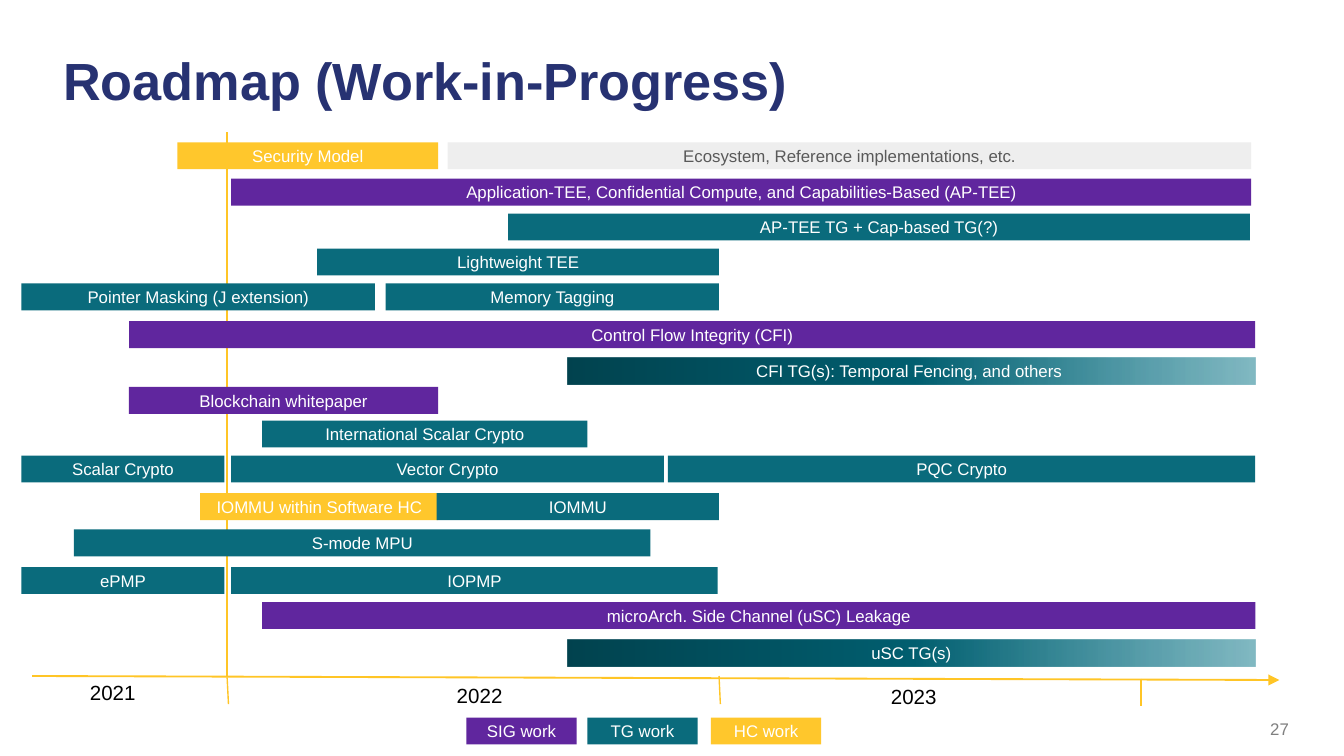
from lxml import etree
from pptx import Presentation
from pptx.dml.color import RGBColor
from pptx.enum.shapes import MSO_CONNECTOR, MSO_SHAPE
from pptx.enum.text import MSO_ANCHOR, MSO_AUTO_SIZE, PP_ALIGN
from pptx.oxml import parse_xml
from pptx.oxml.ns import nsdecls, qn
from pptx.util import Inches, Pt

NAVY = RGBColor(0x27, 0x32, 0x72)
BLACK = RGBColor(0, 0, 0)
WHITE = RGBColor(0xFF, 0xFF, 0xFF)
DARK_GREY = RGBColor(0x59, 0x59, 0x59)
MID_GREY = RGBColor(0x7F, 0x7F, 0x7F)
LIGHT_GREY = RGBColor(0xEE, 0xEE, 0xEE)
AXIS = RGBColor(0xFF, 0xC5, 0x26)
HC = RGBColor(0xFF, 0xC7, 0x2C)
SIG = RGBColor(0x60, 0x26, 0x9E)
TG = RGBColor(0x0A, 0x6B, 0x7C)
FADE = ((0, "01434F", 100), (50, "015F70", 100), (99, "017185", 50))

FONT = "Arial"
BAR_HEIGHT = 0.2
START, Y2022, Y2023, END = 0.16, 1.72, 5.35, 9.34

ROWS = [
    (1.06, [("Security Model", 1.32, 3.26, HC),
            ("Ecosystem, Reference implementations, etc.", 3.33, 9.31, LIGHT_GREY)]),
    (1.33, [("Application-TEE, Confidential Compute, and Capabilities-Based (AP-TEE)",
             Y2022, 9.31, SIG)]),
    (1.59, [("AP-TEE TG + Cap-based TG(?)", 3.78, 9.3, TG)]),
    (1.85, [("Lightweight TEE", 2.36, Y2023, TG)]),
    (2.11, [("Pointer Masking (J extension)", START, 2.79, TG),
            ("Memory Tagging", 2.87, Y2023, TG)]),
    (2.39, [("Control Flow Integrity (CFI)", 0.96, END, SIG)]),
    (2.66, [("CFI TG(s): Temporal Fencing, and others ", 4.22, END, FADE)]),
    (2.88, [("Blockchain whitepaper", 0.96, 3.26, SIG)]),
    (3.13, [("International Scalar Crypto", 1.95, 4.37, TG)]),
    (3.39, [("Scalar Crypto", START, 1.67, TG),
            ("Vector Crypto", Y2022, 4.94, TG),
            ("PQC Crypto", 4.97, END, TG)]),
    (3.67, [("IOMMU within Software HC", 1.49, 3.26, HC),
            ("IOMMU", 3.25, Y2023, TG)]),
    (3.94, [("S-mode MPU", 0.55, 4.84, TG)]),
    (4.22, [("ePMP", START, 1.67, TG), ("IOPMP", Y2022, 5.34, TG)]),
    (4.48, [("microArch. Side Channel (uSC) Leakage", 1.95, END, SIG)]),
    (4.76, [("uSC TG(s)", 4.22, END, FADE)]),
    (5.34, [("SIG work", 3.47, 4.29, SIG),
            ("TG work", 4.37, 5.19, TG),
            ("HC work", 5.29, 6.11, HC)]),
]

TICKS = [(1.69, 5.04, 1.7, 5.24), (5.35, 5.03, 5.36, 5.24), (8.49, 5.05, 8.49, 5.25)]
YEARS = [("2021", 0.57, 5.01), ("2022", 3.3, 5.03), ("2023", 6.53, 5.04)]


def set_font(p, size, color, bold=False):
    p.font.name = FONT
    p.font.size = Pt(size)
    p.font.bold = bold
    p.font.color.rgb = color


def set_insets(tf):
    tf.margin_left = tf.margin_right = Inches(0.07)
    tf.margin_top = tf.margin_bottom = Inches(0.04)


def set_title(s, text):
    sp = s.shapes.title
    sp.left, sp.top, sp.width, sp.height = map(Inches, (0.4, 0.24, 8.77, 0.75))
    tf = sp.text_frame
    tf.text = text
    tf.vertical_anchor = MSO_ANCHOR.MIDDLE
    set_insets(tf)
    p = tf.paragraphs[0]
    p.alignment = PP_ALIGN.LEFT
    p.line_spacing = 0.95
    set_font(p, 28, NAVY, bold=True)


def fill_gradient(sp, stops):
    sp.fill.gradient()
    sp.fill.gradient_angle = 0
    gs = "".join(
        f'<a:gs pos="{pos * 1000}"><a:srgbClr val="{color}">'
        f'<a:alpha val="{alpha * 1000}"/></a:srgbClr></a:gs>'
        for pos, color, alpha in stops)
    old = sp._element.spPr.find(qn("a:gradFill")).find(qn("a:gsLst"))
    old.getparent().replace(old, parse_xml(f'<a:gsLst {nsdecls("a")}>{gs}</a:gsLst>'))


def add_bar(s, text, left, right, top, fill):
    sp = s.shapes.add_shape(MSO_SHAPE.RECTANGLE, Inches(left), Inches(top),
                            Inches(right - left), Inches(BAR_HEIGHT))
    sp.shadow.inherit = False
    sp.line.fill.background()
    if fill is FADE:
        fill_gradient(sp, fill)
    else:
        sp.fill.solid()
        sp.fill.fore_color.rgb = fill
    tf = sp.text_frame
    tf.text = text
    tf.vertical_anchor = MSO_ANCHOR.MIDDLE
    p = tf.paragraphs[0]
    p.alignment = PP_ALIGN.CENTER
    set_font(p, 9, DARK_GREY if fill == LIGHT_GREY else WHITE)


def add_line(s, x1, y1, x2, y2, width, arrow=False):
    line = s.shapes.add_connector(MSO_CONNECTOR.STRAIGHT, *map(Inches, (x1, y1, x2, y2)))
    line.line.color.rgb = AXIS
    line.line.width = Pt(width)
    if arrow:
        etree.SubElement(line.line._get_or_add_ln(), qn("a:tailEnd"), type="triangle")
    etree.SubElement(line._element.spPr, qn("a:effectLst"))


def add_year(s, text, left, top):
    tf = s.shapes.add_textbox(*map(Inches, (left, top, 0.55, 0.29))).text_frame
    tf.word_wrap = False
    tf.auto_size = MSO_AUTO_SIZE.SHAPE_TO_FIT_TEXT
    tf.text = text
    set_font(tf.paragraphs[0], 11, BLACK)


def add_page_number(s, text):
    tf = s.shapes.add_textbox(*map(Inches, (7.33, 5.29, 2.33, 0.25))).text_frame
    tf.word_wrap = True
    tf.vertical_anchor = MSO_ANCHOR.BOTTOM
    set_insets(tf)
    tf.text = text
    p = tf.paragraphs[0]
    p.alignment = PP_ALIGN.RIGHT
    set_font(p, 9, MID_GREY)


def main():
    prs = Presentation()
    prs.slide_width = Inches(10)
    prs.slide_height = prs.slide_width * 9 // 16
    s = prs.slides.add_slide(prs.slide_layouts[5])
    set_title(s, "Roadmap (Work-in-Progress)")
    add_line(s, 0.24, 5.03, 9.52, 5.06, 1, arrow=True)
    add_line(s, 1.69, 5.04, 1.69, 0.98, 1)
    for tick in TICKS:
        add_line(s, *tick, 0.75)
    for year in YEARS:
        add_year(s, *year)
    for top, bars in ROWS:
        for text, left, right, fill in bars:
            add_bar(s, text, left, right, top, fill)
    add_page_number(s, "27")
    prs.save("out.pptx")


if __name__ == "__main__":
    main()
